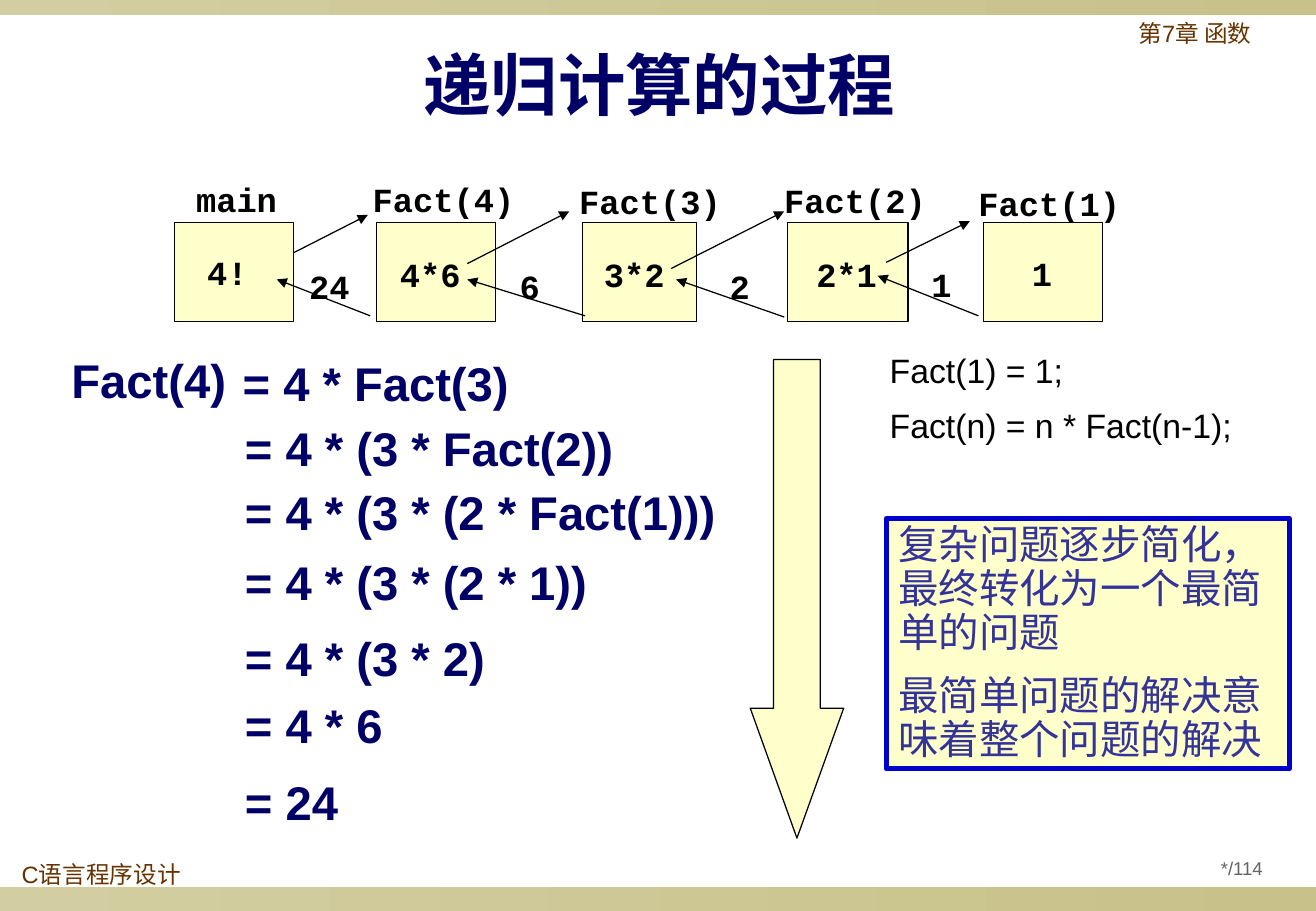
from collections import namedtuple

from lxml import etree
from pptx import Presentation
from pptx.dml.color import RGBColor
from pptx.enum.shapes import MSO_CONNECTOR, MSO_SHAPE
from pptx.enum.text import MSO_ANCHOR, MSO_AUTO_SIZE, PP_ALIGN
from pptx.oxml.ns import qn
from pptx.util import Inches, Pt

LEFT, CENTER = PP_ALIGN.LEFT, PP_ALIGN.CENTER
TOP, MIDDLE = MSO_ANCHOR.TOP, MSO_ANCHOR.MIDDLE

NAVY = RGBColor(0x00, 0x00, 0x66)
BLACK = RGBColor(0x00, 0x00, 0x00)
CREAM = RGBColor(0xFF, 0xFF, 0xCC)
BROWN = RGBColor(0x66, 0x33, 0x00)
GREY = RGBColor(0x63, 0x63, 0x63)
BORDER_BLUE = RGBColor(0x00, 0x00, 0xCC)
NOTE_BLUE = RGBColor(0x33, 0x33, 0x99)
BAND_START = RGBColor(0xD3, 0xCE, 0xA1)
BAND_END = RGBColor(0xC8, 0xC1, 0x8A)

SANS, MONO, CJK = "Arial", "Courier New", "Noto Sans CJK SC"

# The slide is a grid of 100 columns by 100 rows
SLIDE_WIDTH, SLIDE_HEIGHT = Inches(10.84), Inches(7.5)
Box = namedtuple("Box", "left top width height")
Call = namedtuple("Call", "label label_centre label_top left width value value_centre value_top")

# Columns and rows below are counted from the corner of the call chain
CALLS = [
    Call("main", 4.7, 0, 0, 9.04, "4!", 4.01, 8),
    Call("Fact(4)", 20.43, 0, 15.31, 9.04, "4*6", 19.42, 8.27),
    Call("Fact(3)", 36.12, 0.27, 31, 8.67, "3*2", 34.92, 8.27),
    Call("Fact(2)", 51.71, 0.13, 46.59, 9.13, "2*1", 51.06, 8.27),
    Call("Fact(1)", 66.47, 0.4, 61.44, 9.04, "1", 65.91, 8.13),
]
CALL_ARROWS = [
    (9.04, 8.27, 14.67, 4.13), (22.23, 9.47, 29.98, 3.73),
    (37.73, 10, 46.31, 3.73), (54.06, 9.33, 60.42, 4.8),
]
RETURN_ARROWS = [
    (61.07, 15.2, 53.41, 10.8), (46.31, 15.33, 38.1, 11.2),
    (31.18, 15.2, 22.23, 11.2), (14.85, 15.2, 7.75, 11.2),
]
RETURNED = [("24", 11.76, 9.6), ("6", 26.98, 9.6), ("2", 42.94, 9.6), ("1", 58.26, 9.33)]

# Expansion steps: text, column, row
STEPS = [
    ("Fact(4)", 0, 0),
    ("= 4 * Fact(3)", 13.01, 0.27),
    ("= 4 * (3 * Fact(2))", 13.19, 7.4),
    ("= 4 * (3 * (2 * Fact(1)))", 13.19, 14.4),
    ("= 4 * (3 * (2 * 1))", 13.19, 22.13),
    ("= 4 * (3 * 2)", 13.19, 30.53),
    ("= 4 * 6", 13.19, 37.87),
    ("= 24", 13.19, 46.27),
]


def across(columns):
    return round(SLIDE_WIDTH * columns / 100)


def down(rows):
    return round(SLIDE_HEIGHT * rows / 100)


def emu(box):
    return across(box.left), down(box.top), across(box.width), down(box.height)


def write(frame, lines, font_name, size, color, bold=False, align=LEFT,
          spacing=0.9, gap=0, anchor=TOP, wrap=True):
    frame.auto_size = MSO_AUTO_SIZE.NONE
    frame.word_wrap = wrap
    frame.vertical_anchor = anchor
    frame.margin_left = frame.margin_right = Inches(0.1)
    frame.margin_top = frame.margin_bottom = Inches(0.05)
    for index, line in enumerate(lines):
        paragraph = frame.add_paragraph() if index else frame.paragraphs[0]
        paragraph.text = line
        paragraph.alignment = align
        paragraph.line_spacing = spacing
        paragraph.space_before = Pt(gap if index else 0)
        paragraph.font.name = font_name
        paragraph.font.size = Pt(size)
        paragraph.font.bold = bold
        paragraph.font.color.rgb = color


def add_text(slide, box, lines, *style, **options):
    write(slide.shapes.add_textbox(*emu(box)).text_frame, lines, *style, **options)


def add_panel(slide, kind, box, line_color=BLACK, line_width=0.75):
    panel = slide.shapes.add_shape(kind, *emu(box))
    panel.shadow.inherit = False
    panel.fill.solid()
    panel.fill.fore_color.rgb = CREAM
    panel.line.color.rgb = line_color
    panel.line.width = Pt(line_width)
    return panel


def add_arrow(slide, box, x1, y1, x2, y2):
    arrow = slide.shapes.add_connector(
        MSO_CONNECTOR.STRAIGHT, across(box.left + x1), down(box.top + y1),
        across(box.left + x2), down(box.top + y2))
    arrow.line.color.rgb = BLACK
    arrow.line.width = Pt(0.75)
    etree.SubElement(arrow.line._get_or_add_ln(), qn("a:tailEnd"), type="triangle")
    etree.SubElement(arrow._element.spPr, qn("a:effectLst"))


def add_band(slide, box):
    band = slide.shapes.add_shape(MSO_SHAPE.RECTANGLE, *emu(box))
    band.shadow.inherit = False
    band.line.fill.background()
    band.fill.gradient()
    band.fill.gradient_angle = 0
    for stop, color in zip(band.fill.gradient_stops, (BAND_START, BAND_END)):
        stop.color.rgb = color


def add_page_frame(slide):
    add_band(slide, Box(0, 0, 100, 1.6))
    add_band(slide, Box(0, 97.33, 100, 2.67))
    add_text(slide, Box(0.74, 94.13, 16, 4.27), ["C语言程序设计"], SANS, 14, BROWN, wrap=False)
    add_text(slide, Box(85.61, 1.73, 14.39, 5.2), ["第7章 函数"], SANS, 14, BROWN)
    add_text(slide, Box(89.39, 93.33, 9.96, 4.13), ["*/114"], SANS, 11, GREY,
             align=CENTER, anchor=MIDDLE)


def add_title(slide, box):
    title = slide.shapes.title
    title.left, title.top, title.width, title.height = emu(box)
    write(title.text_frame, ["递归计算的过程"], SANS, 40, NAVY, bold=True,
          align=CENTER, spacing=0.85, anchor=MIDDLE)


def add_call_chain(slide, box):
    def centred(text, centre, top, width=15.4):
        label_box = Box(box.left + centre - width / 2, box.top + top, width, 5.33)
        add_text(slide, label_box, [text], MONO, 20, BLACK, bold=True, align=CENTER)

    for call in CALLS:
        add_panel(slide, MSO_SHAPE.RECTANGLE,
                  Box(box.left + call.left, box.top + 4.93, call.width, box.height - 4.93))
    for ends in CALL_ARROWS + RETURN_ARROWS:
        add_arrow(slide, box, *ends)
    for call in CALLS:
        centred(call.label, call.label_centre, call.label_top)
        centred(call.value, call.value_centre, call.value_top, 9.69)
    for text, centre, top in RETURNED:
        centred(text, centre, top, 9.69)


def add_expansion(slide, box):
    for text, column, row in STEPS:
        step_box = Box(box.left + column, box.top + row, box.width - column, 7)
        add_text(slide, step_box, [text], SANS, 28, NAVY, bold=True, spacing=0.95, wrap=False)


def add_definition(slide, box):
    add_text(slide, box, ["Fact(1) = 1;", "Fact(n) = n * Fact(n-1);"],
             SANS, 20, BLACK, gap=10.9)


def add_conclusion(slide, box):
    note = add_panel(slide, MSO_SHAPE.RECTANGLE, box, BORDER_BLUE, 3)
    write(note.text_frame,
          ["复杂问题逐步简化，最终转化为一个最简单的问题", "最简单问题的解决意味着整个问题的解决"],
          CJK, 24, NOTE_BLUE, gap=11.8)


def add_progress_arrow(slide, box):
    progress = add_panel(slide, MSO_SHAPE.DOWN_ARROW, box)
    progress.adjustments[0] = 0.5
    progress.adjustments[1] = 1.39


def main():
    deck = Presentation()
    deck.slide_width, deck.slide_height = SLIDE_WIDTH, SLIDE_HEIGHT
    slide = deck.slides.add_slide(deck.slide_layouts[5])
    add_page_frame(slide)
    add_title(slide, Box(7.47, 3.73, 85.24, 12.27))
    add_call_chain(slide, Box(13.28, 19.47, 70.48, 15.8))
    add_expansion(slide, Box(4.52, 38.4, 52, 53))
    add_progress_arrow(slide, Box(57.01, 39.47, 7.1, 52.53))
    add_definition(slide, Box(66.7, 38.27, 33.3, 12.8))
    add_conclusion(slide, Box(67.34, 56.93, 30.63, 27.47))
    deck.save("out.pptx")


if __name__ == "__main__":
    main()
